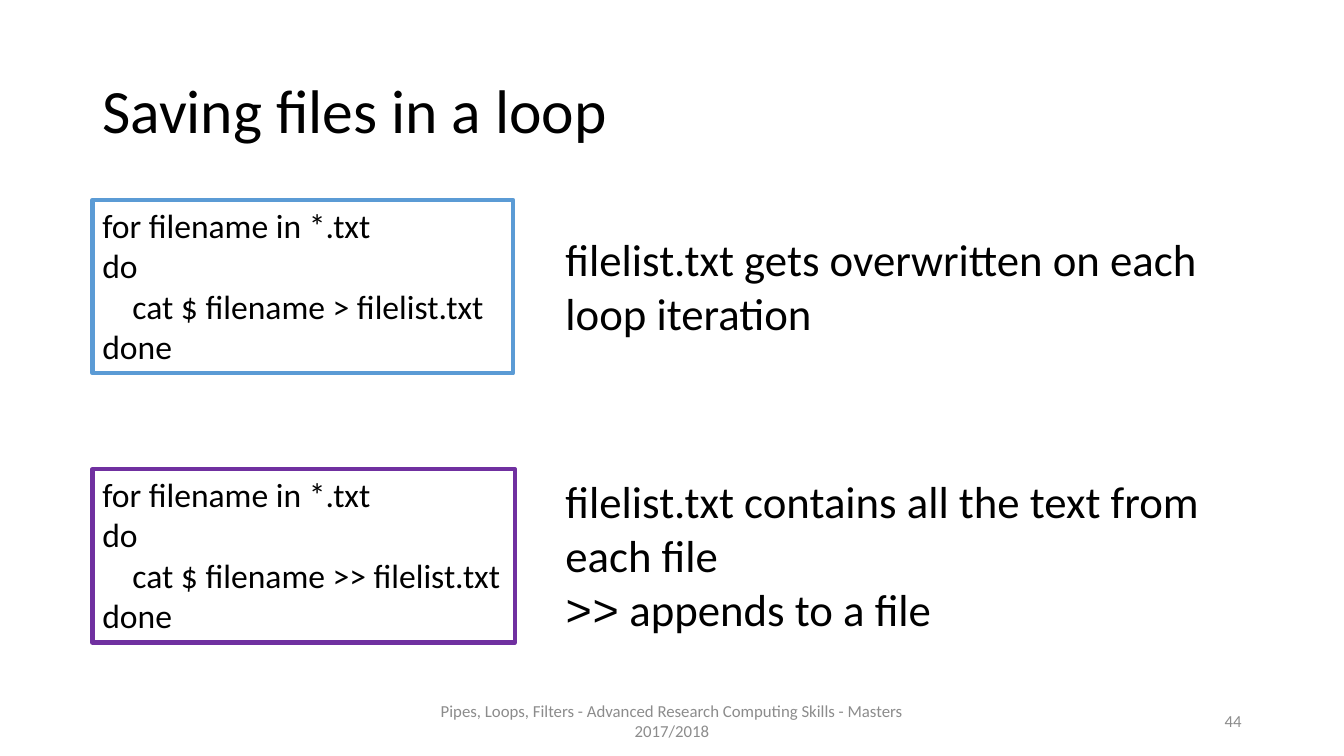
import pptx
import pptx.util
import pptx.dml.color
import pptx.enum.shapes
import pptx.enum.text

Cm = pptx.util.Cm
Pt = pptx.util.Pt
Align = pptx.enum.text.PP_ALIGN
Anchor = pptx.enum.text.MSO_ANCHOR


def paint(font, color):
    """Give a font, fill or line a solid hex colour."""
    fill = font if hasattr(font, "solid") else font.fill
    fill.solid()
    fill.fore_color.rgb = pptx.dml.color.RGBColor.from_string(color)


def write(shape, text, size, color="000000", align=Align.LEFT, anchor=Anchor.TOP):
    """Fill a shape with styled text."""
    frame = shape.text_frame
    frame.text = text
    frame.word_wrap = True
    frame.vertical_anchor = anchor
    for par in frame.paragraphs:
        par.alignment = align
        for run in par.runs:
            run.font.name = "Calibri"
            run.font.size = Pt(size)
            paint(run.font, color)
    return frame


def label(slide, box, text, size, **style):
    """Add a text box."""
    shape = slide.shapes.add_textbox(*map(Cm, box))
    return write(shape, text, size, **style)


def head(slide, box):
    """Add the heading."""
    frame = label(slide, box, "Saving files in a loop", 44, anchor=Anchor.MIDDLE)
    frame.paragraphs[0].line_spacing = 0.9


def code(slide, box, sign, color, wrap):
    """Add a framed loop that saves with the given sign."""
    shape = slide.shapes.add_shape(
        pptx.enum.shapes.MSO_SHAPE.RECTANGLE, *map(Cm, box))
    shape.shadow.inherit = False
    paint(shape.fill, "FFFFFF")
    paint(shape.line, color)
    shape.line.width = Pt(3)
    lines = ["for filename in *.txt", "do",
             f"cat $ filename {sign} filelist.txt", "done"]
    frame = write(shape, "\n".join(lines), 24)
    frame.word_wrap = wrap
    frame.paragraphs[2]._p.get_or_add_pPr().set("marL", str(Cm(0.76)))


def note(slide, box, text):
    """Add a remark, with any append sign in a code font."""
    frame = label(slide, box, text, 32)
    for par in frame.paragraphs:
        if par.text.startswith(">>"):
            sign = par.runs[0]
            rest = par.add_run()
            rest.text = sign.text[2:]
            rest.font.name = "Calibri"
            rest.font.size = sign.font.size
            paint(rest.font, "000000")
            sign.text = ">>"
            sign.font.name = "Courier New"


def foot(slide, box):
    """Add the footer and the page number."""
    left, top, width, height = box
    page = 7.62
    style = dict(color="8C8C8C", anchor=Anchor.MIDDLE)
    label(slide, (left, top, width - page, height),
          "Pipes, Loops, Filters - Advanced Research Computing Skills - Masters 2017/2018",
          12, align=Align.CENTER, **style)
    label(slide, (left + width - page, top, page, height), "44",
          12, align=Align.RIGHT, **style)


deck = pptx.Presentation()
deck.slide_width = Cm(33.87)
deck.slide_height = Cm(19.05)
slide = deck.slides.add_slide(deck.slide_layouts[6])

head(slide, (2.33, 1.01, 29.21, 3.68))
foot(slide, (9.95, 17.66, 21.59, 1.01))
code(slide, (2.33, 5.04, 10.6, 4.37), ">", "5B9BD5", True)
code(slide, (2.33, 11.82, 10.65, 4.37), ">>", "7030A0", False)
note(slide, (14, 5.72, 16.87, 2.99),
     "filelist.txt gets overwritten on each loop iteration")
note(slide, (14, 11.82, 16.87, 4.37),
     "filelist.txt contains all the text from each file\n>>\u00a0appends to a file")

deck.save("out.pptx")
